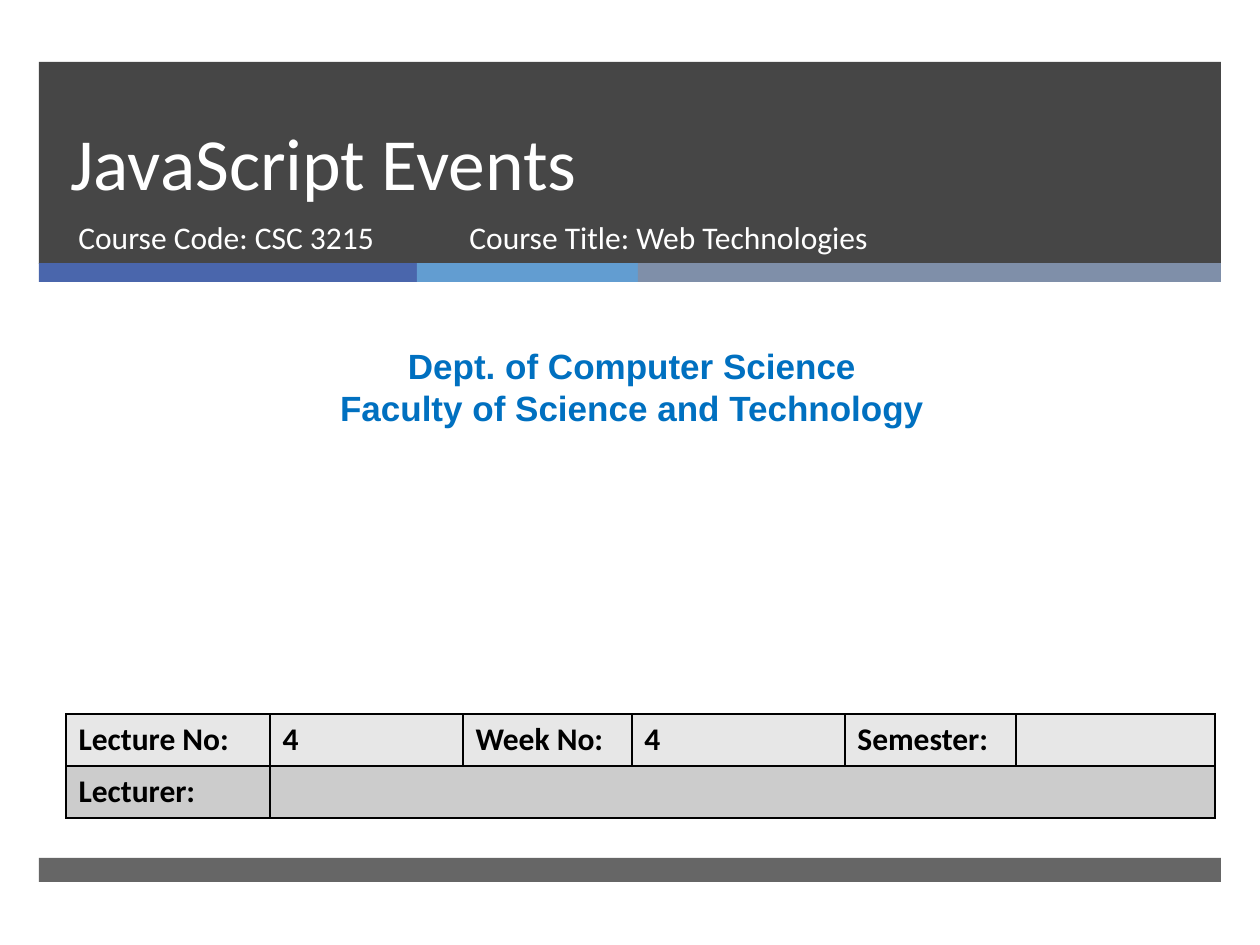
from dataclasses import dataclass

import pptx
import pptx.dml.color
import pptx.enum.shapes
import pptx.enum.text
import pptx.oxml
import pptx.oxml.ns
import pptx.util

EMU_PER_PX = 914400 / 126
ALIGN = pptx.enum.text.PP_ALIGN
ANCHOR = pptx.enum.text.MSO_ANCHOR


@dataclass(frozen=True)
class Theme:
    dark: str = "262626"
    accents: tuple = ("4A66AC", "629DD1", "7F8FA9")
    white: str = "FFFFFF"
    black: str = "000000"
    blue: str = "0070C0"
    rows: tuple = ("E7E7E7", "CCCCCC")
    body_font: str = "Calibri"
    department_font: str = "Arial"
    title_size: int = 42
    department_size: int = 20
    body_size: int = 18


THEME = Theme()


def px(length):
    return pptx.util.Emu(round(length * EMU_PER_PX))


def rgb(color):
    return pptx.dml.color.RGBColor.from_string(color)


def place(item, left, top, width, height):
    item.left, item.top = px(left), px(top)
    item.width, item.height = px(width), px(height)


def write_text(frame, *lines, color, size=THEME.body_size, font=THEME.body_font,
               bold=False, align=ALIGN.LEFT, anchor=ANCHOR.TOP, spacing=None):
    frame.word_wrap = True
    frame.vertical_anchor = anchor
    for index, line in enumerate(lines):
        para = frame.add_paragraph() if index else frame.paragraphs[0]
        para.alignment = align
        if spacing:
            para.line_spacing = pptx.util.Pt(spacing)
        span = para.add_run()
        span.text = line
        span.font.name = font
        span.font.size = pptx.util.Pt(size)
        span.font.bold = bold
        span.font.color.rgb = rgb(color)


def add_bar(page, left, top, width, height, color, opacity=100):
    bar = page.shapes.add_shape(pptx.enum.shapes.MSO_SHAPE.RECTANGLE,
                                px(left), px(top), px(width), px(height))
    bar.shadow.inherit = False
    bar.line.fill.background()
    bar.fill.solid()
    bar.fill.fore_color.rgb = rgb(color)
    if opacity < 100:
        tint = bar.element.spPr.find(".//" + pptx.oxml.ns.qn("a:srgbClr"))
        alpha = pptx.oxml.parse_xml(
            f'<a:alpha {pptx.oxml.ns.nsdecls("a")} val="{opacity * 1000}"/>')
        tint.append(alpha)


def add_text(page, left, top, width, height, *lines, **text_format):
    box = page.shapes.add_textbox(px(left), px(top), px(width), px(height))
    write_text(box.text_frame, *lines, **text_format)


def add_title(page, text):
    title = page.shapes.title
    place(title, 58, 62, 1076, 150)
    title.text_frame.auto_size = pptx.enum.text.MSO_AUTO_SIZE.NONE
    write_text(title.text_frame, text, color=THEME.white, size=THEME.title_size,
               anchor=ANCHOR.BOTTOM, spacing=46)
    title.element.getparent().append(title.element)  # in front of the bars


def outline_cell(cell):
    properties = cell._tc.get_or_add_tcPr()
    for position, side in enumerate(("lnL", "lnR", "lnT", "lnB")):
        properties.insert(position, pptx.oxml.parse_xml(
            f'<a:{side} {pptx.oxml.ns.nsdecls("a")} w="12700"><a:solidFill>'
            f'<a:srgbClr val="{THEME.black}"/></a:solidFill></a:{side}>'))


def add_lecture_table(page):
    rows = [("Lecture No:", "4", "Week No:", "4", "Semester:", ""),
            ("Lecturer:", "", "", "", "", "")]
    widths = (204, 193, 169, 213, 171, 199)
    row_height = 52
    table = page.shapes.add_table(len(rows), len(widths), px(66), px(714), px(sum(widths)),
                                  px(row_height * len(rows))).table
    for column, width in zip(table.columns, widths):
        column.width = px(width)
    for row_index, (labels, color) in enumerate(zip(rows, THEME.rows)):
        for column_index, label in enumerate(labels):
            cell = table.cell(row_index, column_index)
            cell.fill.solid()
            cell.fill.fore_color.rgb = rgb(color)
            outline_cell(cell)
            if label:
                write_text(cell.text_frame, label, color=THEME.black, bold=True)
    table.cell(1, 1).merge(table.cell(1, len(widths) - 1))


def main():
    deck = pptx.Presentation()
    deck.slide_width, deck.slide_height = px(1260), px(945)
    page = deck.slides.add_slide(deck.slide_layouts[5])

    left = 39
    add_bar(page, left, 62, 1182, 202, THEME.dark, opacity=85)
    accent_left = left
    for width, color in zip((378, 221, 583), THEME.accents):
        add_bar(page, accent_left, 263, width, 19, color)
        accent_left += width
    add_bar(page, left, 858, 1182, 24, THEME.dark, opacity=70)

    add_title(page, "JavaScript Events")
    add_text(page, 66, 212, 384, 67, "Course Code: CSC 3215", color=THEME.white)
    add_text(page, 457, 212, 573, 67, "Course Title: Web Technologies", color=THEME.white)
    add_text(page, 10, 338, 1244, 97, "Dept. of Computer Science",
             "Faculty of Science and Technology", color=THEME.blue, bold=True,
             size=THEME.department_size, font=THEME.department_font, align=ALIGN.CENTER)
    add_lecture_table(page)
    deck.save("out.pptx")


if __name__ == "__main__":
    main()
